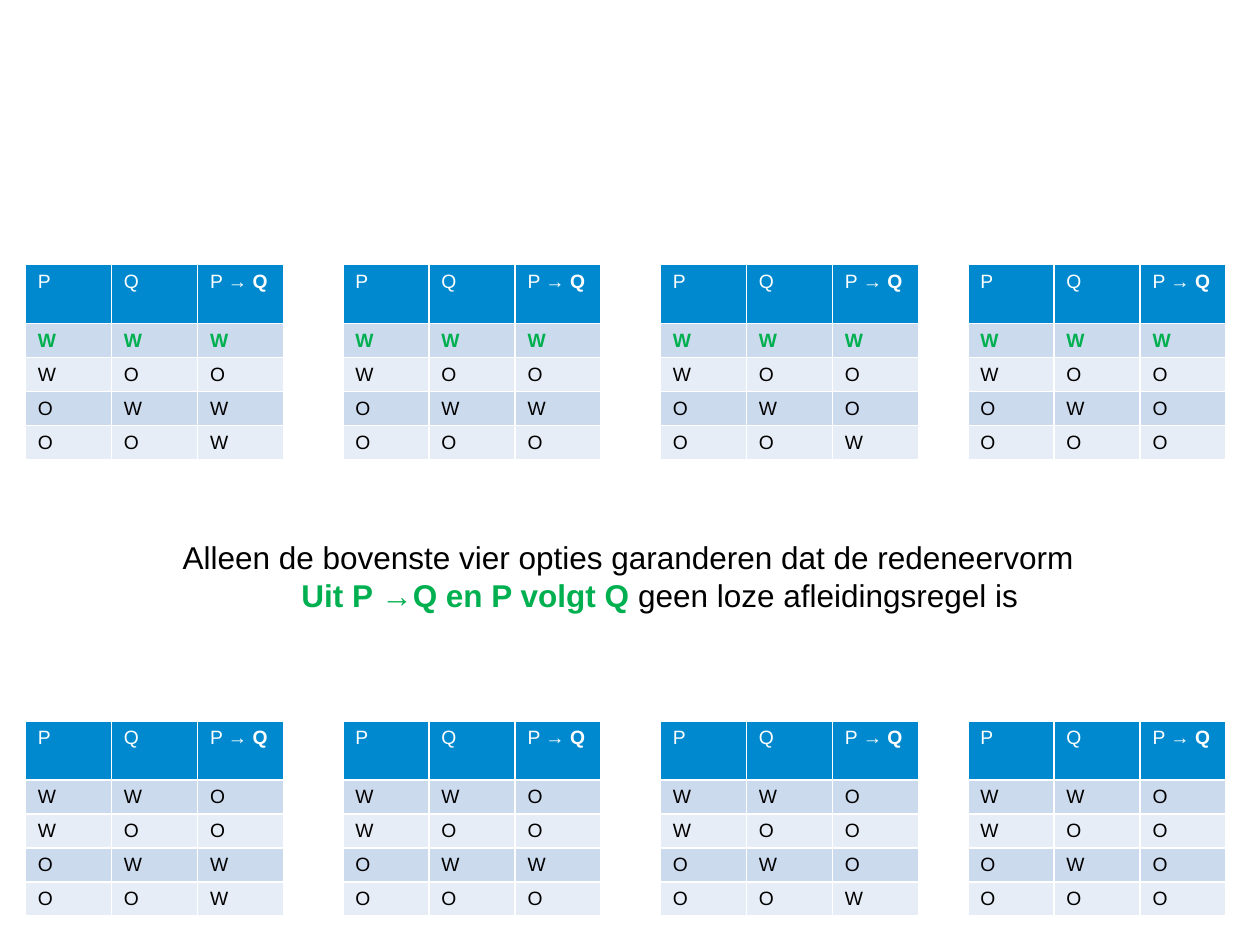
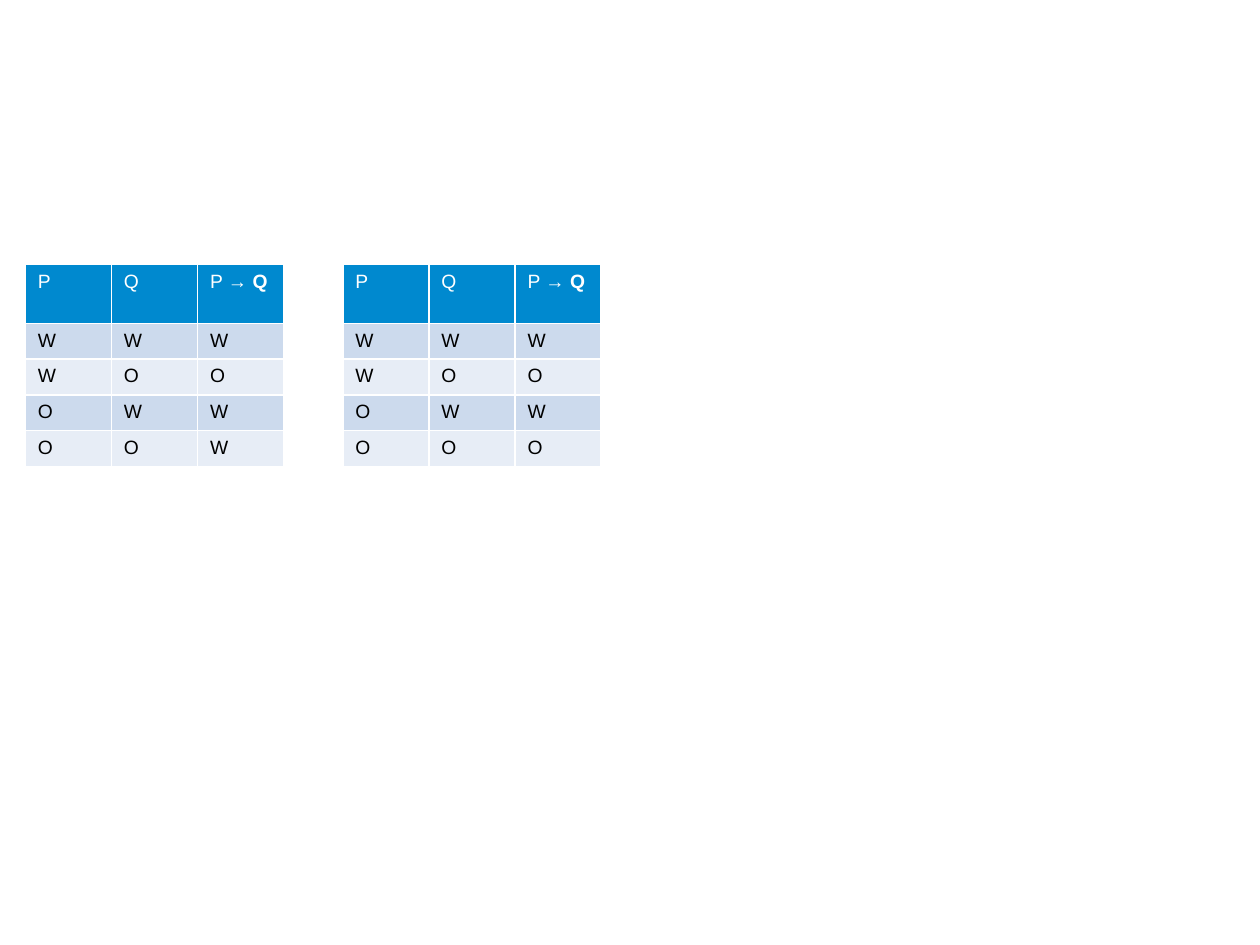
from pptx import Presentation
from pptx.dml.color import RGBColor
from pptx.enum.text import MSO_AUTO_SIZE, PP_ALIGN
from pptx.util import Cm, Pt

CENTER = PP_ALIGN.CENTER
FIT_SHAPE = MSO_AUTO_SIZE.SHAPE_TO_FIT_TEXT

FONT = "Arial"
WHITE = RGBColor(0xFF, 0xFF, 0xFF)
BLACK = RGBColor(0x00, 0x00, 0x00)
GREEN = RGBColor(0x00, 0xB0, 0x50)
HEADER_BLUE = RGBColor(0x00, 0x89, 0xCF)
BAND_COLORS = (RGBColor(0xCC, 0xDA, 0xED), RGBColor(0xE7, 0xED, 0xF6))

TABLE_LEFTS = (0.51, 6.91, 13.31, 19.51)
TOP_ROW, BOTTOM_ROW = 5.33, 14.53
COLUMN_WIDTH = 1.735
HEADER_HEIGHT, ROW_HEIGHT = 1.19, 0.66
VALUATIONS = ("WW", "WO", "OW", "OO")


def add_truth_table(slide, left, top, outcomes, highlight):
    """Add one table for P → Q; highlight marks the row where P and Q hold."""
    frame = slide.shapes.add_table(
        5, 3, Cm(left), Cm(top), Cm(3 * COLUMN_WIDTH), Cm(HEADER_HEIGHT + 4 * ROW_HEIGHT))
    table = frame.table
    for column in table.columns:
        column.width = Cm(COLUMN_WIDTH)
    rows = [("P", "Q", "P ")]
    rows += [valuation + outcome for valuation, outcome in zip(VALUATIONS, outcomes)]
    for row_index, values in enumerate(rows):
        is_header = row_index == 0
        is_marked = highlight and row_index == 1
        table.rows[row_index].height = Cm(HEADER_HEIGHT if is_header else ROW_HEIGHT)
        for column_index, value in enumerate(values):
            cell = table.cell(row_index, column_index)
            cell.fill.solid()
            cell.fill.fore_color.rgb = HEADER_BLUE if is_header else BAND_COLORS[(row_index - 1) % 2]
            cell.text = value
            paragraph = cell.text_frame.paragraphs[0]
            paragraph.font.name = FONT
            paragraph.font.size = Pt(11)
            for run in paragraph.runs:
                run.font.name = FONT
                run.font.size = Pt(11)
                run.font.bold = is_marked
                run.font.color.rgb = WHITE if is_header else GREEN if is_marked else BLACK
    arrow = table.cell(0, 2).text_frame.paragraphs[0].add_run()
    arrow.text = "→ Q"
    arrow.font.name = FONT
    arrow.font.size = Pt(11)
    arrow.font.bold = True
    arrow.font.color.rgb = WHITE


presentation = Presentation()
presentation.slide_width = Cm(25.4)
presentation.slide_height = Cm(19.05)
blank_layout = presentation.slide_layouts[6]

# Slide 1: the eight candidate tables and the conclusion
slide = presentation.slides.add_slide(blank_layout)
for top, first_outcome in ((TOP_ROW, "W"), (BOTTOM_ROW, "O")):
    for left, last_outcomes in zip(TABLE_LEFTS, ("WW", "WO", "OW", "OO")):
        add_truth_table(slide, left, top, first_outcome + "O" + last_outcomes, first_outcome == "W")

conclusion = slide.shapes.add_textbox(Cm(3.1), Cm(10.72), Cm(20.4), Cm(1.8))
text_frame = conclusion.text_frame
text_frame.word_wrap = True
text_frame.auto_size = FIT_SHAPE
text_frame.margin_left = 0
text_frame.margin_right = Cm(1.27)
paragraph = text_frame.paragraphs[0]
paragraph.alignment = CENTER
# A hanging indent sets the first line left of the second
properties = paragraph._p.get_or_add_pPr()
properties.set("marL", str(Cm(1.27)))
properties.set("indent", str(-Cm(1.27)))
for text, color, bold in (
    ("Alleen de bovenste vier opties garanderen dat de redeneervorm", BLACK, False),
    ("Uit P →Q en P volgt Q ", GREEN, True),
    ("geen loze afleidingsregel is", BLACK, False),
):
    if text.startswith("Uit"):
        paragraph.add_line_break()
    run = paragraph.add_run()
    run.text = text
    run.font.name = FONT
    run.font.size = Pt(18)
    run.font.bold = bold
    run.font.color.rgb = color

# Slide 2: the two remaining tables
slide = presentation.slides.add_slide(blank_layout)
for left, outcomes in zip(TABLE_LEFTS, ("WOWW", "WOWO")):
    add_truth_table(slide, left, TOP_ROW, outcomes, False)

presentation.save("out.pptx")
